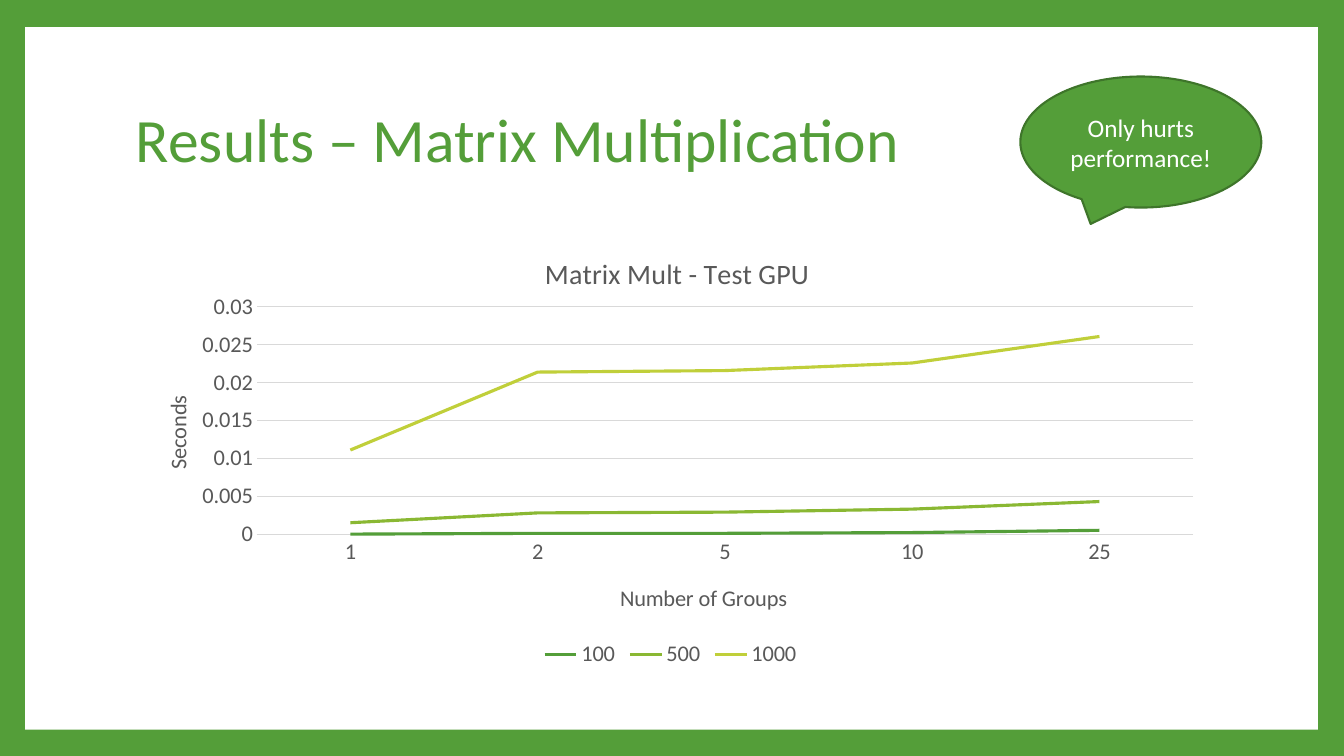
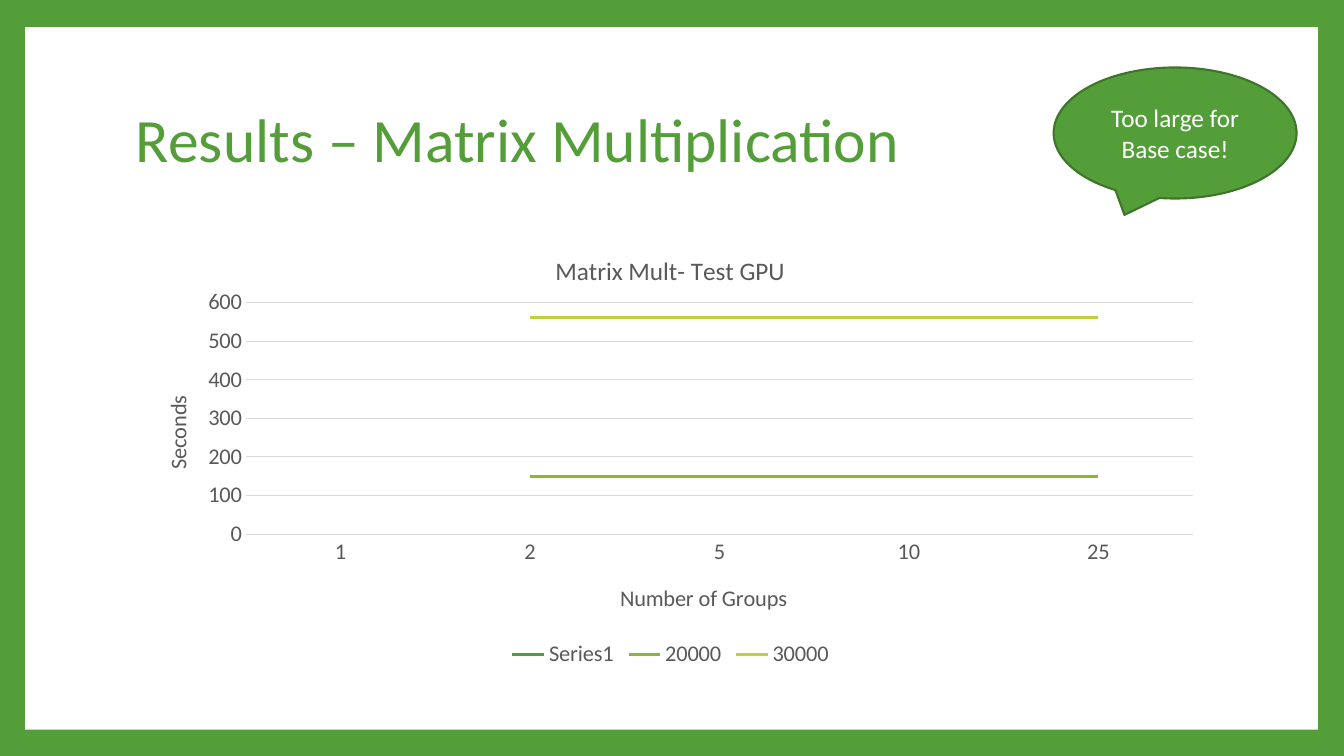
from lxml import etree
from pptx import Presentation
from pptx.chart.data import CategoryChartData
from pptx.dml.color import RGBColor
from pptx.enum.chart import XL_CHART_TYPE, XL_LEGEND_POSITION, XL_TICK_MARK
from pptx.enum.shapes import MSO_SHAPE
from pptx.enum.text import MSO_ANCHOR, PP_ALIGN
from pptx.oxml.ns import qn
from pptx.util import Inches, Pt

LINE_CHART = XL_CHART_TYPE.LINE
LEGEND_BOTTOM = XL_LEGEND_POSITION.BOTTOM
NO_TICK = XL_TICK_MARK.NONE
RECTANGLE = MSO_SHAPE.RECTANGLE
CALLOUT = MSO_SHAPE.OVAL_CALLOUT
MIDDLE = MSO_ANCHOR.MIDDLE
CENTER = PP_ALIGN.CENTER

GREEN = RGBColor(0x54, 0x9E, 0x39)
DARK_GREEN = RGBColor(0x3E, 0x75, 0x2A)
LEAF = RGBColor(0x8A, 0xB8, 0x33)
LIME = RGBColor(0xC0, 0xCF, 0x3A)
WHITE = RGBColor(0xFF, 0xFF, 0xFF)
GRAY = RGBColor(0x59, 0x59, 0x59)
GRID_GRAY = RGBColor(0xD9, 0xD9, 0xD9)
SERIES_COLORS = (GREEN, LEAF, LIME)
FONT = "Calibri"

GROUPS = ("1", "2", "5", "10", "25")


def style_font(font, size, color):
    font.name = FONT
    font.size = Pt(size)
    font.bold = False
    font.color.rgb = color


def place(element, **fractions):
    """Fix a chart part at fractions of the chart's width and height."""
    layout = element.find(qn("c:layout"))
    if layout is None:
        layout = etree.Element(qn("c:layout"))
        element.insert(0, layout)
    for child in list(layout):
        layout.remove(child)
    manual = etree.SubElement(layout, qn("c:manualLayout"))
    if "w" in fractions:
        etree.SubElement(manual, qn("c:layoutTarget")).set("val", "inner")
    for side in ("x", "y"):
        etree.SubElement(manual, qn(f"c:{side}Mode")).set("val", "edge")
    for side, value in fractions.items():
        etree.SubElement(manual, qn(f"c:{side}")).set("val", str(value))


class ResultsDeck:
    def __init__(self):
        self.deck = Presentation()
        self.deck.slide_width = Inches(13.33)
        self.deck.slide_height = Inches(7.5)
        self.slide = None

    def add_slide(self, title):
        self.slide = self.deck.slides.add_slide(self.deck.slide_layouts[6])
        fill = self.slide.background.fill
        fill.solid()
        fill.fore_color.rgb = GREEN
        panel = self.add_shape(RECTANGLE, 0.25, 0.27, 12.82, 6.97, WHITE)
        panel.line.fill.background()
        box = self.slide.shapes.add_textbox(
            Inches(1.25), Inches(0.67), Inches(10.8), Inches(1.48))
        self.set_text(box, title, 44, GREEN).line_spacing = 0.9

    def add_shape(self, kind, left, top, width, height, color):
        shape = self.slide.shapes.add_shape(
            kind, Inches(left), Inches(top), Inches(width), Inches(height))
        shape.shadow.inherit = False
        shape.fill.solid()
        shape.fill.fore_color.rgb = color
        return shape

    def set_text(self, shape, text, size, color):
        frame = shape.text_frame
        frame.word_wrap = True
        frame.vertical_anchor = MIDDLE
        frame.text = text
        para = frame.paragraphs[0]
        style_font(para.runs[0].font, size, color)
        return para

    def add_callout(self, text, left, top, width):
        callout = self.add_shape(CALLOUT, left, top, width, 1.3, GREEN)
        callout.line.color.rgb = DARK_GREEN
        callout.line.width = Pt(1.5)
        self.set_text(callout, text, 18, WHITE).alignment = CENTER

    def set_chart_title(self, title, text, size, x, y):
        title.text_frame.text = text
        style_font(title.text_frame.paragraphs[0].runs[0].font, size, GRAY)
        place(title._element, x=x, y=y)

    def add_axis(self, axis, text, x, y):
        axis.has_title = True
        self.set_chart_title(axis.axis_title, text, 16, x, y)
        axis.major_tick_mark = NO_TICK
        axis.minor_tick_mark = NO_TICK
        style_font(axis.tick_labels.font, 16, GRAY)

    def add_line_chart(self, title, title_size, title_x, series, plot_area):
        data = CategoryChartData()
        data.categories = GROUPS
        for name, values in series.items():
            data.add_series(name, values)
        chart = self.slide.shapes.add_chart(
            LINE_CHART, Inches(1.25), Inches(2.25), Inches(10.8), Inches(4.42),
            data).chart
        style_font(chart.font, 16, GRAY)
        chart.has_title = True
        self.set_chart_title(chart.chart_title, title, title_size, title_x, 0.05)
        chart.has_legend = True
        chart.legend.position = LEGEND_BOTTOM
        chart.legend.include_in_layout = False
        style_font(chart.legend.font, 16, GRAY)

        self.add_axis(chart.category_axis, "Number of Groups", 0.45, 0.79)
        chart.category_axis.format.line.color.rgb = GRID_GRAY
        chart.category_axis.format.line.width = Pt(0.75)
        value_axis = chart.value_axis
        self.add_axis(value_axis, "Seconds", 0.03, 0.37)
        body = value_axis.axis_title._element.find(".//" + qn("a:bodyPr"))
        body.set("rot", "-5400000")
        body.set("vert", "horz")
        value_axis.format.line.fill.background()
        value_axis.has_major_gridlines = True
        grid = value_axis.major_gridlines.format.line
        grid.color.rgb = GRID_GRAY
        grid.width = Pt(0.75)

        plot = chart.plots[0]
        plot.vary_by_categories = False
        for line, color in zip(plot.series, SERIES_COLORS):
            line.smooth = False
            line.format.line.color.rgb = color
            line.format.line.width = Pt(2.25)
        place(chart._chartSpace.find(".//" + qn("c:plotArea")), **plot_area)


def main():
    results = ResultsDeck()
    heading = "Results – Matrix Multiplication"

    results.add_slide(heading)
    results.add_line_chart(
        "Matrix Mult - Test GPU", 20, 0.38,
        {"100": (0, 0.0001, 0.0001, 0.0002, 0.0005),
         "500": (0.0015, 0.0028, 0.0029, 0.0033, 0.0043),
         "1000": (0.0111, 0.0214, 0.0216, 0.0226, 0.0261)},
        {"x": 0.12, "y": 0.18, "w": 0.86, "h": 0.51})
    results.add_callout("Only hurts performance!", 10.12, 0.76, 2.39)

    results.add_slide(heading)
    results.add_line_chart(
        "Matrix Mult- Test GPU", 18, 0.39,
        {"Series1": (None,) * 5,
         "20000": (None,) + (150,) * 4,
         "30000": (None,) + (560,) * 4},
        {"x": 0.11, "y": 0.17, "w": 0.87, "h": 0.52})
    results.add_callout("Too large for Base case!", 10.45, 0.67, 2.41)

    results.deck.save("out.pptx")


if __name__ == "__main__":
    main()
